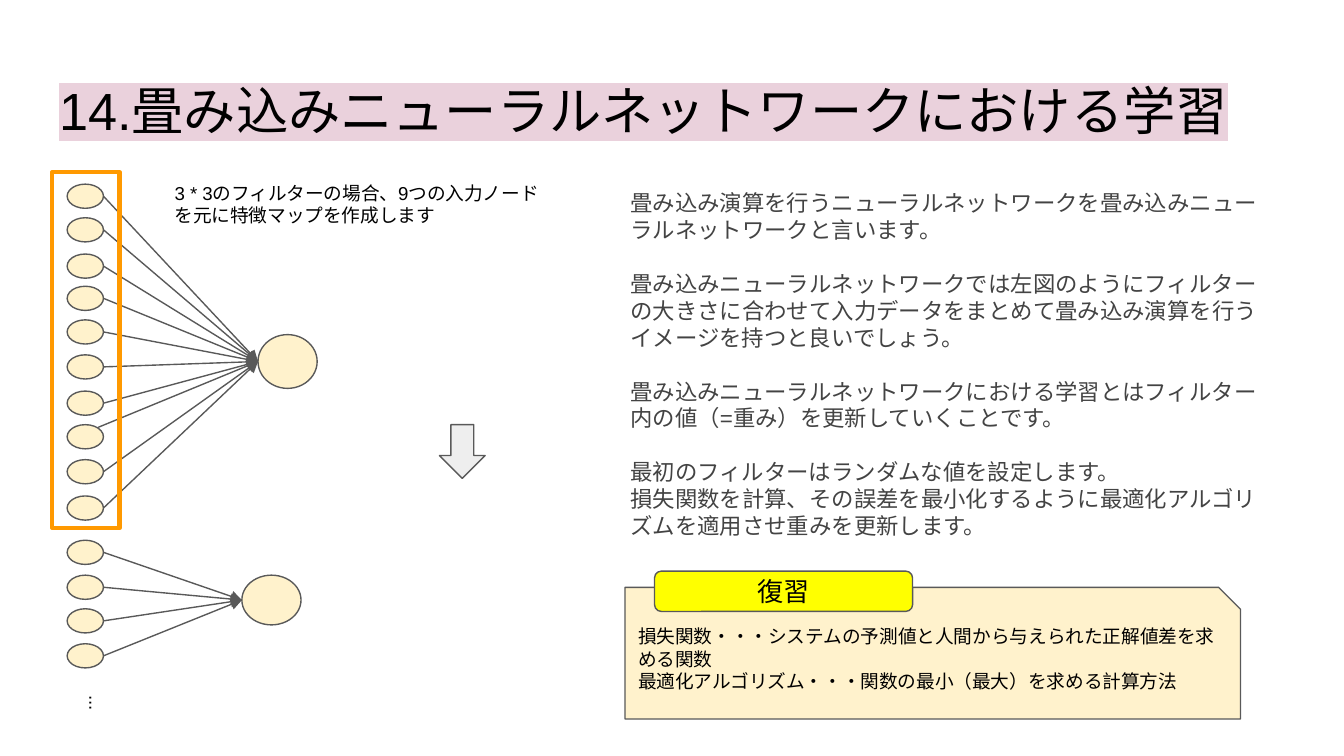
from dataclasses import dataclass
from lxml.etree import SubElement
from pptx import Presentation
from pptx.dml.color import RGBColor
from pptx.enum.shapes import MSO_CONNECTOR, MSO_SHAPE
from pptx.enum.text import MSO_ANCHOR, MSO_AUTO_SIZE, PP_ALIGN
from pptx.oxml.ns import qn
from pptx.util import Inches, Pt


@dataclass(frozen=True)
class Theme:
    font: str = "Arial"
    ink: str = "000000"
    gray: str = "434343"
    edge: str = "595959"
    cream: str = "FFF2CC"
    pink: str = "EAD1DC"
    orange: str = "FF9900"
    yellow: str = "FFFF00"
    pale: str = "EEEEEE"
    head: float = 28
    tag: float = 14
    body: float = 12
    note: float = 10
    gap: float = 14.4
    thin: float = 0.75
    thick: float = 2.25


THEME = Theme()
NODE_LEFT, NODE_WIDE, NODE_HIGH = 0.5, 0.27, 0.18
GROUPS = [
    ((1.37, 1.62, 1.89, 2.13, 2.38, 2.64, 2.91, 3.16, 3.42, 3.69),
     (1.92, 2.49, 0.44, 0.4)),
    ((4.02, 4.28, 4.53, 4.79), (1.8, 4.28, 0.44, 0.37)),
]
CORNER = 3.16
BODY = [
    "畳み込み演算を行うニューラルネットワークを畳み込みニューラルネットワークと言います。",
    "畳み込みニューラルネットワークでは左図のようにフィルターの大きさに合わせて入力データをまとめて畳み込み演算を行うイメージを持つと良いでしょう。",
    "畳み込みニューラルネットワークにおける学習とはフィルター内の値（=重み）を更新していくことです。",
    "最初のフィルターはランダムな値を設定します。",
    "損失関数を計算、その誤差を最小化するように最適化アルゴリズムを適用させ重みを更新します。",
]
REVIEW = [
    "損失関数・・・システムの予測値と人間から与えられた正解値差を求める関数",
    "最適化アルゴリズム・・・関数の最小（最大）を求める計算方法",
]


def color(code):
    return RGBColor.from_string(code)


def place(shape, box):
    shape.left, shape.top, shape.width, shape.height = map(Inches, box)


def write(shape, lines, size, ink=THEME.ink, align=PP_ALIGN.LEFT,
          anchor=MSO_ANCHOR.TOP, gaps=()):
    frame = shape.text_frame
    frame.word_wrap = True
    frame.auto_size = MSO_AUTO_SIZE.NONE
    frame.vertical_anchor = anchor
    frame.margin_left = frame.margin_right = Inches(0.1)
    frame.margin_top = frame.margin_bottom = Inches(0.1)
    frame.text = "\n".join(lines)
    for index, para in enumerate(frame.paragraphs):
        para.alignment = align
        para.space_before = Pt(THEME.gap if index in gaps else 0)
        props = para._p.get_or_add_pPr()
        props.set("marL", "0")
        props.set("indent", "0")
        SubElement(props, qn("a:buNone"))
        para.font.name = THEME.font
        para.font.size = Pt(size)
        para.font.color.rgb = color(ink)
        SubElement(para.font._rPr, qn("a:ea"), typeface=THEME.font)


def add_shape(slide, kind, box, fill=None, edge=THEME.edge, width=THEME.thin):
    shape = slide.shapes.add_shape(kind, *map(Inches, box))
    shape.shadow.inherit = False
    if fill:
        shape.fill.solid()
        shape.fill.fore_color.rgb = color(fill)
    else:
        shape.fill.background()
    shape.line.color.rgb = color(edge)
    shape.line.width = Pt(width)
    return shape


def add_arrow(slide, start, end):
    arrow = slide.shapes.add_connector(
        MSO_CONNECTOR.STRAIGHT, *map(Inches, (*start, *end)))
    arrow.line.color.rgb = color(THEME.edge)
    arrow.line.width = Pt(THEME.thin)
    SubElement(arrow.line._get_or_add_ln(), qn("a:tailEnd"), type="triangle")
    SubElement(arrow._element.spPr, qn("a:effectLst"))


def add_note(slide, box, text, **style):
    note = slide.shapes.add_textbox(*map(Inches, box))
    write(note, [text], THEME.note, **style)
    return note


def add_group(slide, tops, target):
    left, top, _, high = target
    add_shape(slide, MSO_SHAPE.OVAL, target, THEME.cream)
    for y in tops:
        add_shape(slide, MSO_SHAPE.OVAL,
                  (NODE_LEFT, y, NODE_WIDE, NODE_HIGH), THEME.cream)
        start = (NODE_LEFT + NODE_WIDE, y + NODE_HIGH / 2)
        if y == CORNER:
            start = (0.73, y + 0.02)
        add_arrow(slide, start, (left, top + high / 2))


def add_title(slide):
    title = slide.shapes.title
    place(title, (0.34, 0.48, 9.32, 0.63))
    write(title, ["14.畳み込みニューラルネットワークにおける学習"], THEME.head)
    run = title.text_frame.paragraphs[0].runs[0]
    mark = SubElement(run._r.get_or_add_rPr(), qn("a:highlight"))
    SubElement(mark, qn("a:srgbClr"), val=THEME.pink)


def add_body(slide):
    body = slide.placeholders[1]
    place(body, (4.59, 1.31, 4.97, 2.8))
    write(body, BODY, THEME.body, THEME.gray, gaps=(1, 2, 3))


def add_review(slide):
    card = add_shape(slide, MSO_SHAPE.SNIP_1_RECTANGLE,
                     (4.65, 4.37, 4.58, 0.98), THEME.cream)
    write(card, REVIEW, THEME.note, anchor=MSO_ANCHOR.MIDDLE)
    tag = add_shape(slide, MSO_SHAPE.ROUNDED_RECTANGLE,
                    (4.87, 4.25, 1.92, 0.3), THEME.yellow)
    write(tag, ["復習"], THEME.tag, align=PP_ALIGN.CENTER,
          anchor=MSO_ANCHOR.MIDDLE)


def main():
    deck = Presentation()
    deck.slide_width = Inches(10)
    deck.slide_height = deck.slide_width * 9 // 16
    slide = deck.slides.add_slide(deck.slide_layouts[1])
    add_title(slide)
    add_body(slide)
    for tops, target in GROUPS:
        add_group(slide, tops, target)
    dots = add_note(slide, (0.5, 5.06, 0.44, 0.34), "...",
                    align=PP_ALIGN.CENTER, anchor=MSO_ANCHOR.MIDDLE)
    dots.rotation = 90
    add_shape(slide, MSO_SHAPE.RECTANGLE, (0.39, 1.28, 0.5, 2.65),
              edge=THEME.orange, width=THEME.thick)
    add_note(slide, (1.2, 1.25, 3.02, 0.49),
             "3 * 3のフィルターの場合、9つの入力ノードを元に特徴マップを作成します")
    add_shape(slide, MSO_SHAPE.DOWN_ARROW, (3.27, 3.16, 0.34, 0.4), THEME.pale)
    add_review(slide)
    deck.save("out.pptx")


if __name__ == "__main__":
    main()
